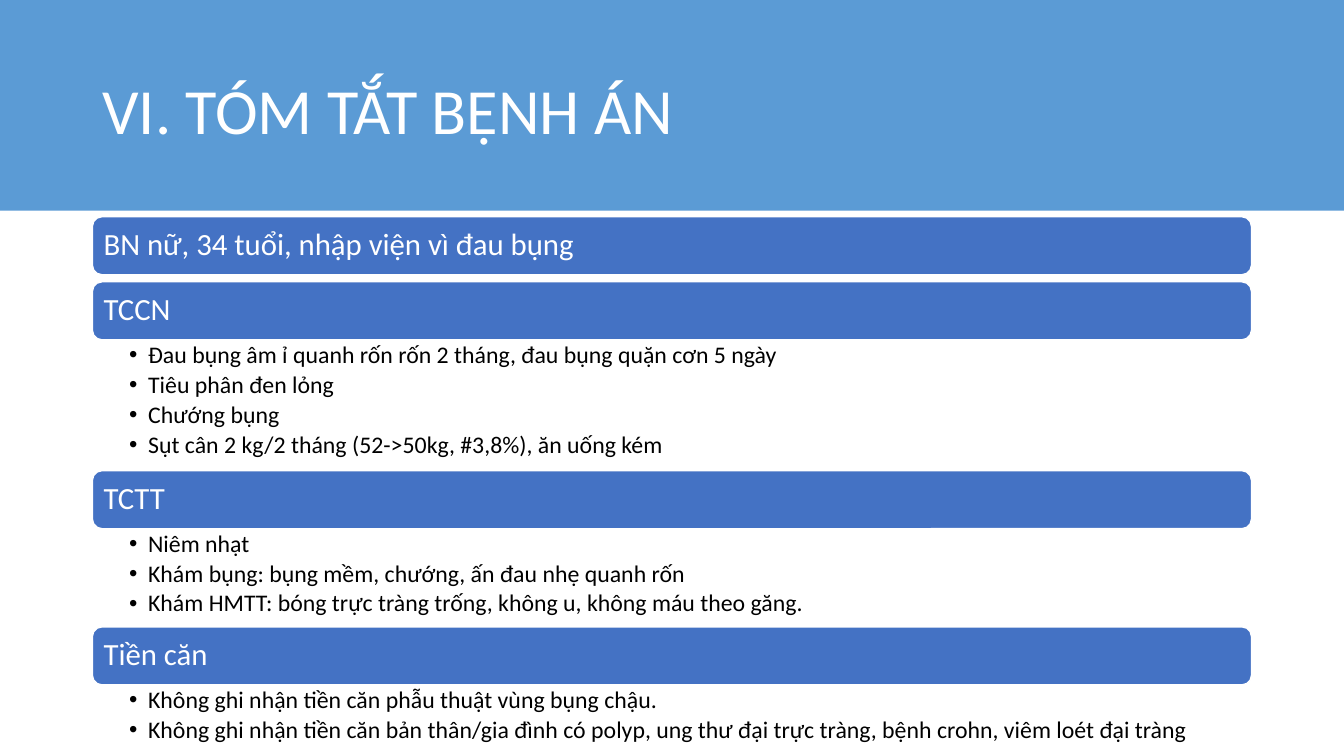
"""Build the case summary slide: a title band and headed bars with bullet lists."""
from dataclasses import dataclass

import lxml.etree
import pptx
import pptx.dml.color
import pptx.enum.shapes
import pptx.enum.text
import pptx.oxml.ns
import pptx.util

Pt = pptx.util.Pt
RGBColor = pptx.dml.color.RGBColor
MSO_SHAPE = pptx.enum.shapes.MSO_SHAPE
MSO_ANCHOR = pptx.enum.text.MSO_ANCHOR
PP_ALIGN = pptx.enum.text.PP_ALIGN

TITLE = "VI. TÓM TẮT BỆNH ÁN"
SECTIONS = [
    ("BN nữ, 34 tuổi, nhập viện vì đau bụng", []),
    ("TCCN", [
        "Đau bụng âm ỉ quanh rốn rốn 2 tháng, đau bụng quặn cơn 5 ngày",
        "Tiêu phân đen lỏng",
        "Chướng bụng",
        "Sụt cân 2 kg/2 tháng (52->50kg, #3,8%), ăn uống kém",
    ]),
    ("TCTT", [
        "Niêm nhạt",
        "Khám bụng: bụng mềm, chướng, ấn đau nhẹ quanh rốn",
        "Khám HMTT: bóng trực tràng trống, không u, không máu theo găng.",
    ]),
    ("Tiền căn", [
        "Không ghi nhận tiền căn phẫu thuật vùng bụng chậu.",
        "Không ghi nhận tiền căn bản thân/gia đình có polyp, ung thư đại trực tràng, "
        "bệnh crohn, viêm loét đại tràng",
    ]),
]


@dataclass(frozen=True)
class Theme:
    """Colours, font and type sizes."""
    font: str = "Calibri"
    band: RGBColor = RGBColor(0x5B, 0x9B, 0xD5)
    bar: RGBColor = RGBColor(0x44, 0x72, 0xC4)
    light: RGBColor = RGBColor(0xFF, 0xFF, 0xFF)
    dark: RGBColor = RGBColor(0, 0, 0)
    title_size: int = 46
    heading_size: int = 22
    bullet_size: int = 17


THEME = Theme()
SLIDE_WIDTH, SLIDE_HEIGHT = 960, 540
BAND_HEIGHT = 150.5
LEFT, WIDTH = 66, 828
FIRST_BAR_TOP, BAR_HEIGHT, BAR_GAP = 154.8, 41.5, 5
LINE_HEIGHT = 23.35
INDENT = 13.5


def place(shape, left, top, width, height):
    """Move and size a shape, in points."""
    shape.left, shape.top = Pt(left), Pt(top)
    shape.width, shape.height = Pt(width), Pt(height)


def set_frame(text_frame, anchor, left, right, vertical):
    """Set wrapping, anchor and insets of a text frame."""
    text_frame.word_wrap = True
    text_frame.auto_size = pptx.enum.text.MSO_AUTO_SIZE.NONE
    text_frame.vertical_anchor = anchor
    text_frame.margin_left, text_frame.margin_right = Pt(left), Pt(right)
    text_frame.margin_top = text_frame.margin_bottom = Pt(vertical)


def style(paragraph, size, color, space_after=0):
    """Format a paragraph and its runs."""
    paragraph.alignment = PP_ALIGN.LEFT
    paragraph.line_spacing = 0.9
    paragraph.space_before, paragraph.space_after = Pt(0), Pt(space_after)
    for run in paragraph.runs:
        run.font.name, run.font.size = THEME.font, Pt(size)
        run.font.bold = False
        run.font.color.rgb = color


def add_block(slide, preset, box, fill):
    """Add a filled preset shape without outline or shadow."""
    shape = slide.shapes.add_shape(preset, *map(Pt, box))
    shape.shadow.inherit = False
    shape.fill.solid()
    shape.fill.fore_color.rgb = fill
    shape.line.fill.background()
    return shape


def add_bar(slide, heading, top):
    """Add a section bar with its heading."""
    bar = add_block(slide, MSO_SHAPE.ROUNDED_RECTANGLE, (LEFT, top, WIDTH, BAR_HEIGHT), THEME.bar)
    bar.line.color.rgb = THEME.light
    bar.line.width = Pt(1)
    set_frame(bar.text_frame, MSO_ANCHOR.MIDDLE, 6, 6, 6)
    bar.text_frame.text = heading
    style(bar.text_frame.paragraphs[0], THEME.heading_size, THEME.light)


def fill_list(placeholder, bullets, top):
    """Place a body placeholder and fill it with bullets."""
    place(placeholder, LEFT, top, WIDTH, len(bullets) * LINE_HEIGHT)
    text_frame = placeholder.text_frame
    set_frame(text_frame, MSO_ANCHOR.TOP, 26.3, 12, 2)
    text_frame.text = "\n".join(bullets)
    for paragraph in text_frame.paragraphs:
        properties = paragraph._p.get_or_add_pPr()
        properties.set("marL", str(Pt(INDENT)))
        properties.set("indent", str(-Pt(INDENT)))
        for tag, name, value in (("a:buFont", "typeface", "Arial"), ("a:buChar", "char", "•")):
            element = lxml.etree.SubElement(properties, pptx.oxml.ns.qn(tag))
            element.set(name, value)
        style(paragraph, THEME.bullet_size, THEME.dark, 3)


def main():
    """Create and save the presentation."""
    presentation = pptx.Presentation()
    presentation.slide_width, presentation.slide_height = Pt(SLIDE_WIDTH), Pt(SLIDE_HEIGHT)
    slide = presentation.slides.add_slide(presentation.slide_layouts.get_by_name("Comparison"))
    title = slide.shapes.title
    bodies = [shape for shape in slide.placeholders if shape.placeholder_format.idx != 0]

    band = add_block(slide, MSO_SHAPE.RECTANGLE, (0, 0, SLIDE_WIDTH, BAND_HEIGHT), THEME.band)
    title._element.addprevious(band._element)
    place(title, LEFT, 28.8, WIDTH, 104.4)
    set_frame(title.text_frame, MSO_ANCHOR.MIDDLE, 7.2, 7.2, 3.6)
    title.text_frame.text = TITLE
    style(title.text_frame.paragraphs[0], THEME.title_size, THEME.light)

    top = FIRST_BAR_TOP
    for heading, bullets in SECTIONS:
        add_bar(slide, heading, top)
        top += BAR_HEIGHT
        if bullets:
            fill_list(bodies.pop(0), bullets, top)
            top += len(bullets) * LINE_HEIGHT
        else:
            top += BAR_GAP
    for body in bodies:
        body._element.getparent().remove(body._element)
    presentation.save("out.pptx")


if __name__ == "__main__":
    main()
